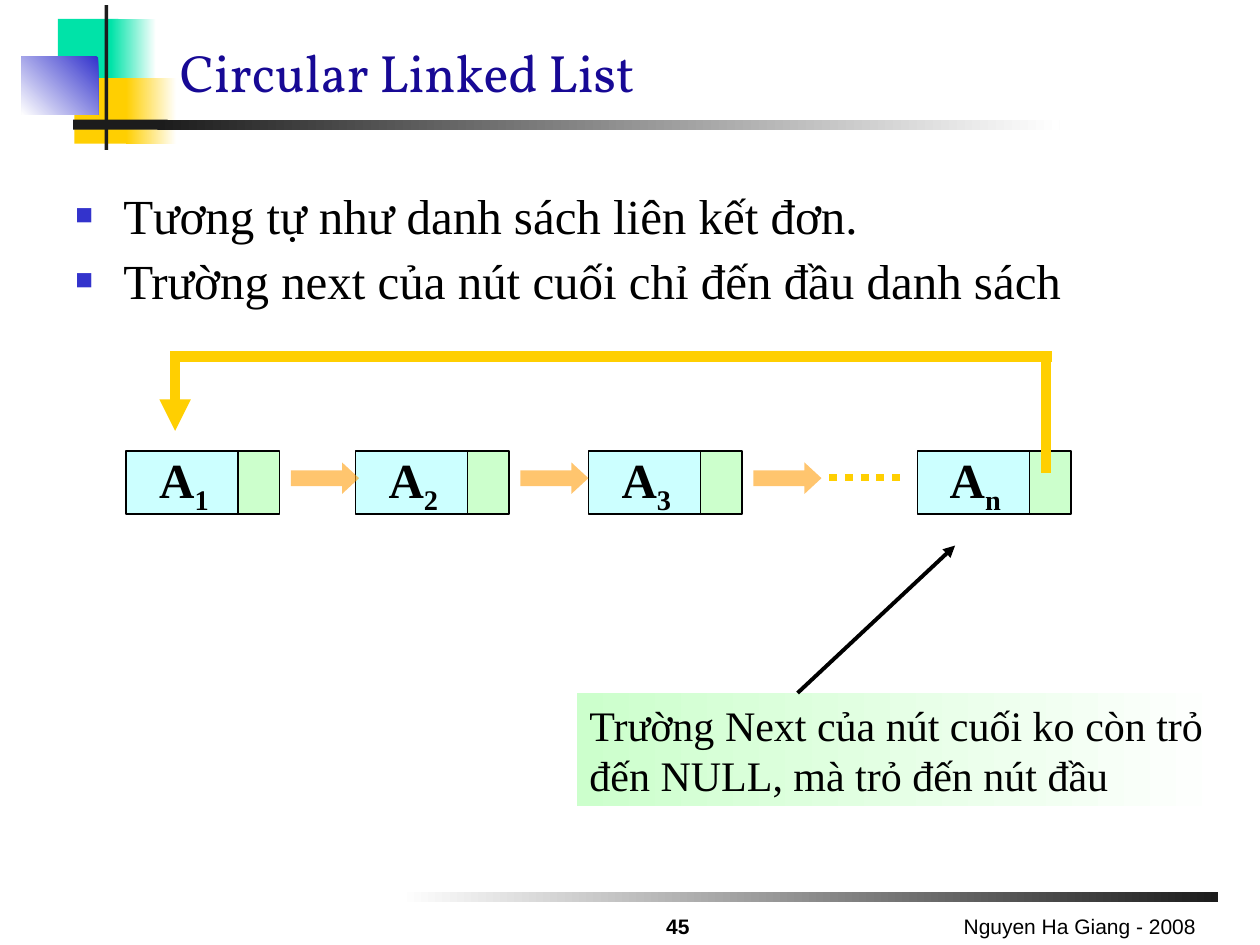
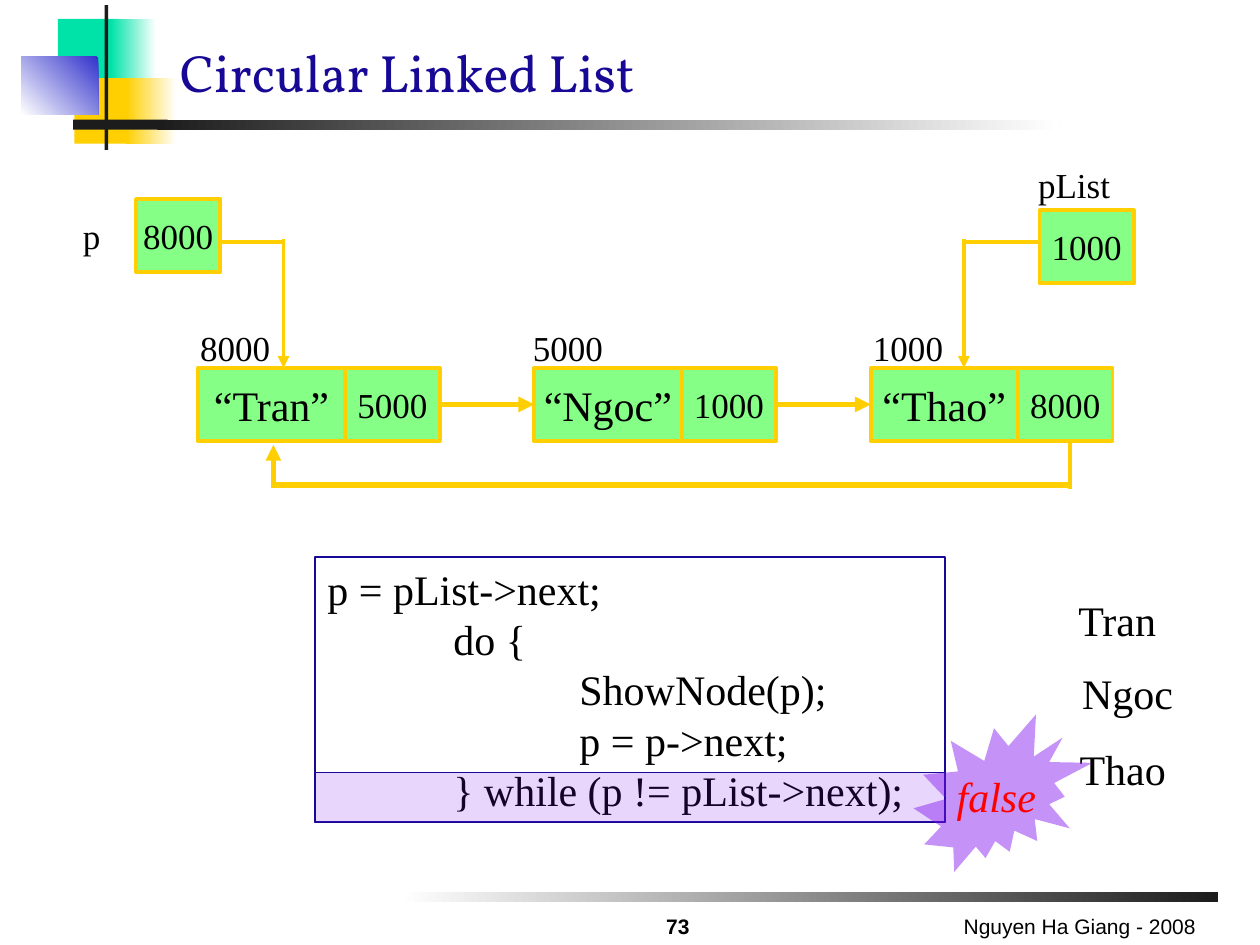
from lxml.etree import SubElement as add_child
from pptx import Presentation
from pptx.dml.color import RGBColor as Rgb
from pptx.enum.dml import MSO_LINE as Dash
from pptx.enum.shapes import MSO_CONNECTOR as Connector, MSO_SHAPE as Shape
from pptx.enum.text import MSO_ANCHOR as Anchor, PP_ALIGN as Align
from pptx.oxml.ns import qn
from pptx.util import Inches, Pt

COLORS = {
    "ink": "1C1C1C", "black": "000000", "white": "FFFFFF", "navy": "170995",
    "mint": "00E3A8", "gold": "FFCF01", "blue": "3333CC", "cyan": "CCFFFF",
    "pale_green": "CCFFCC", "orange": "FF9900", "green": "00FF00",
    "violet": "7F11EE", "red": "FF0000",
}
SERIF = "Times New Roman"
NODE_TEXT = {"align": Align.CENTER, "anchor": Anchor.MIDDLE, "wrap": False}


def rgb(name):
    return Rgb.from_string(COLORS[name])


def style_span(span, size=24, font=SERIF, color="black", **extra):
    for name, value in {"size": Pt(size), "name": font, **extra}.items():
        setattr(span.font, name, value)
    span.font.color.rgb = rgb(color)


def write(shape, lines, align=Align.LEFT, anchor=Anchor.TOP, wrap=True, **font):
    frame = shape.text_frame
    frame.word_wrap = wrap
    frame.vertical_anchor = anchor
    for index, line in enumerate(lines):
        para = frame.paragraphs[0] if index == 0 else frame.add_paragraph()
        para.alignment = align
        span = para.add_run()
        span.text = line
        style_span(span, **font)
    return frame


def add_text(page, box, lines, **text):
    return write(page.shapes.add_textbox(*map(Inches, box)), lines, **text)


def add_box(page, box, fill=None, fade=None, angle=0, alpha=None, line=None,
            kind=Shape.RECTANGLE):
    shape = page.shapes.add_shape(kind, *map(Inches, box))
    shape.shadow.inherit = False
    if fade:
        shape.fill.gradient()
        shape.fill.gradient_angle = angle
        for stop, color, position in zip(shape.fill.gradient_stops, (fill, fade), (0, 1)):
            stop.color.rgb = rgb(color)
            stop.position = position
    elif fill:
        shape.fill.solid()
        shape.fill.fore_color.rgb = rgb(fill)
    else:
        shape.fill.background()
    if alpha:
        color_node = shape._element.spPr.find(qn("a:solidFill"))[0]
        add_child(color_node, qn("a:alpha"), val=str(alpha * 1000))
    if line:
        shape.line.color.rgb = rgb(line[0])
        shape.line.width = Pt(line[1])
    else:
        shape.line.fill.background()
    return shape


def add_line(page, start, end, width, color="gold", arrow=False, dash=None):
    line = page.shapes.add_connector(Connector.STRAIGHT, *map(Inches, (*start, *end)))
    line.line.color.rgb = rgb(color)
    line.line.width = Pt(width)
    if dash:
        line.line.dash_style = dash
    properties = line._element.spPr
    if arrow:
        add_child(properties.find(qn("a:ln")), qn("a:tailEnd"), type="triangle")
    add_child(properties, qn("a:effectLst"))
    return line


def add_emblem(page, left, top):
    for x, y, width, height, fill, fade, angle in (
        (0.29, 0.11, 0.48, 0.52, "mint", None, 0),
        (0.71, 0.11, 0.36, 0.52, "mint", "white", 0),
        (0.42, 0.58, 0.46, 0.52, "gold", None, 0),
        (0.83, 0.58, 0.4, 0.52, "gold", "white", 0),
        (0, 0.41, 0.61, 0.46, "blue", "white", 225),
        (0.66, 0, 0.03, 1.15, "ink", None, 0),
        (0.41, 0.91, 0.75, 0.08, "ink", None, 0),
        (1.08, 0.91, 7.16, 0.08, "ink", "white", 0),
    ):
        add_box(page, (left + x, top + y, width, height), fill, fade, angle)


def add_footer(page, left, top, number):
    add_box(page, (left, top, 6.5, 0.08), "white", "ink")
    footer = {"size": 12, "font": "Arial", "anchor": Anchor.BOTTOM}
    add_text(page, (left + 3.25, top + 0.09, 3.17, 0.33), ["Nguyen Ha Giang - 2008"],
             align=Align.RIGHT, **footer)
    add_text(page, (left + 1.75, top + 0.15, 0.92, 0.27), [str(number)],
             align=Align.CENTER, bold=True, **footer)


def add_page(deck, number):
    page = deck.slides.add_slide(deck.slide_layouts[6])
    add_emblem(page, 0.17, 0.04)
    add_text(page, (1.33, 0.2, 8.5, 0.67), ["Circular Linked List"],
             anchor=Anchor.BOTTOM, size=30, font="Vollkorn", color="navy")
    add_footer(page, 3.17, 7.08, number)
    return page


def add_bullets(page, box, lines):
    frame = add_text(page, box, lines, size=28)
    for index, para in enumerate(frame.paragraphs):
        properties = para._p.get_or_add_pPr()
        properties.set("marL", str(Inches(0.38)))
        properties.set("indent", str(-Inches(0.38)))
        if index:
            para.space_before = Pt(3.5)
        bullet_color = add_child(properties, qn("a:buClr"))
        add_child(bullet_color, qn("a:srgbClr"), val=COLORS["blue"])
        add_child(properties, qn("a:buSzPct"), val="60000")
        add_child(properties, qn("a:buFont"), typeface="Arial")
        add_child(properties, qn("a:buChar"), char="■")


def add_indexed_node(page, left, top, index):
    outline = ("black", 0.75)
    data = add_box(page, (left, top, 0.92, 0.5), "cyan", line=outline)
    frame = write(data, ["A"], size=28, bold=True, **NODE_TEXT)
    span = frame.paragraphs[0].add_run()
    span.text = index
    style_span(span, size=28, bold=True)
    span._r.get_or_add_rPr().set("baseline", "-25000")
    add_box(page, (left + 0.89, top, 0.33, 0.5), "pale_green", line=outline)


def add_indexed_chain(page, left, top):
    offsets = (0, 1.82, 3.67, 6.28)
    for offset, index in zip(offsets, "123n"):
        add_indexed_node(page, left + offset, top, index)
    for offset in offsets[:3]:
        arrow = add_box(page, (left + offset + 1.31, top + 0.09, 0.54, 0.25), "orange",
                        alpha=57, kind=Shape.RIGHT_ARROW)
        arrow.adjustments[1] = 0.54
    dots_y = top + 0.21
    add_line(page, (left + 5.58, dots_y), (left + 6.17, dots_y), 4.5, dash=Dash.ROUND_DOT)
    loop_y = top - 0.75
    add_line(page, (left + 7.3, loop_y), (left + 7.3, top + 0.17), 6)
    add_line(page, (left + 7.35, loop_y), (left + 0.35, loop_y), 6)
    add_line(page, (left + 0.39, loop_y), (left + 0.39, top - 0.16), 6, arrow=True)


def add_note(page, left, top):
    note = add_box(page, (left, top, 5.17, 0.9), "pale_green", "white")
    write(note, ["Trường Next của nút cuối ko còn trỏ đến NULL, mà trỏ đến nút đầu"])
    add_line(page, (left + 1.75, top), (left + 3, top - 1.17), 2.25, "black", arrow=True)


def add_cell(page, box, text, size=20):
    cell = add_box(page, box, "green", alpha=48, line=("gold", 2.25))
    write(cell, [text], size=size, **NODE_TEXT)
    return cell


def add_label(page, left, top, text, width=0.85):
    add_text(page, (left, top, width, 0.44), [text], size=20)


def add_named_chain(page, left, top):
    previous = None
    for index, (name, target, address, shift) in enumerate((
        ("“Tran”", "5000", "8000", -0.08),
        ("“Ngoc”", "1000", "5000", -0.11),
        ("“Thao”", "8000", "1000", -0.08),
    )):
        x = left + 2.67 * index
        data = add_cell(page, (x, top, 1.17, 0.58), name, 24)
        link = add_cell(page, (x + 1.17, top, 0.75, 0.58), target)
        add_label(page, x + shift, top - 0.38, address)
        if previous:
            arrow = add_line(page, (x - 0.75, top + 0.29), (x, top + 0.29), 3, arrow=True)
            arrow.begin_connect(previous, 3)
            arrow.end_connect(data, 1)
        previous = link
    add_line(page, (left + 6.92, top + 0.58), (left + 6.92, top + 0.96), 2.25)
    add_line(page, (left + 6.92, top + 0.93), (left + 0.58, top + 0.93), 3)
    add_line(page, (left + 0.6, top + 0.94), (left + 0.6, top + 0.61), 3, arrow=True)


def add_pointers(page, top, node_top):
    add_cell(page, (1.08, top, 0.67, 0.58), "8000")
    add_label(page, 0.56, top + 0.07, "p", 0.34)
    add_cell(page, (8.25, top + 0.09, 0.75, 0.58), "1000")
    add_label(page, 8.14, top - 0.33, "pList")
    wire_y = top + 0.34
    for start, turn in ((1.75, 2.25), (8.25, 7.65)):
        add_line(page, (start, wire_y), (turn, wire_y), 2.25)
        add_line(page, (turn, wire_y - 0.02), (turn, node_top), 2.25, arrow=True)


def add_code(page, left, top):
    code = add_box(page, (left, top, 5, 2.1), line=("navy", 1))
    frame = write(code, ["p = pList->next;", "\tdo {", "\t\tShowNode(p);",
                         "\t\tp = p->next;", "\t} while (p != pList->next);"])
    for para in frame.paragraphs:
        stops = add_child(para._p.get_or_add_pPr(), qn("a:tabLst"))
        for inch in (1, 2):
            add_child(stops, qn("a:tab"), pos=str(Inches(inch)), algn="l")
    add_box(page, (left, top + 1.71, 5, 0.4), "violet", alpha=17, line=("navy", 0.75))


def add_results(page, left, top):
    for x, y, name in ((0, 0, "Tran"), (0.03, 0.58, "Ngoc"), (0.01, 1.18, "Thao")):
        add_text(page, (left + x, top + y, 1, 0.5), [name])
    burst = add_box(page, (left - 1.21, top + 1, 1.42, 1.25), "violet", alpha=45,
                    kind=Shape.EXPLOSION2)
    write(burst, ["false"], color="red", italic=True, **NODE_TEXT)


def build_concept_page(deck):
    page = add_page(deck, 45)
    add_bullets(page, (0.5, 1.42, 9.29, 5.58), [
        "Tương tự như danh sách liên kết đơn.",
        "Trường next của nút cuối chỉ đến đầu danh sách",
    ])
    add_indexed_chain(page, 1, 3.58)
    add_note(page, 4.58, 5.5)


def build_traversal_page(deck):
    page = add_page(deck, 73)
    add_named_chain(page, 1.57, 2.92)
    add_pointers(page, 1.58, 2.92)
    add_code(page, 2.5, 4.42)
    add_results(page, 8.46, 4.67)


def main():
    deck = Presentation()
    deck.slide_width, deck.slide_height = Inches(10), Inches(7.5)
    build_concept_page(deck)
    build_traversal_page(deck)
    deck.save("out.pptx")


if __name__ == "__main__":
    main()
